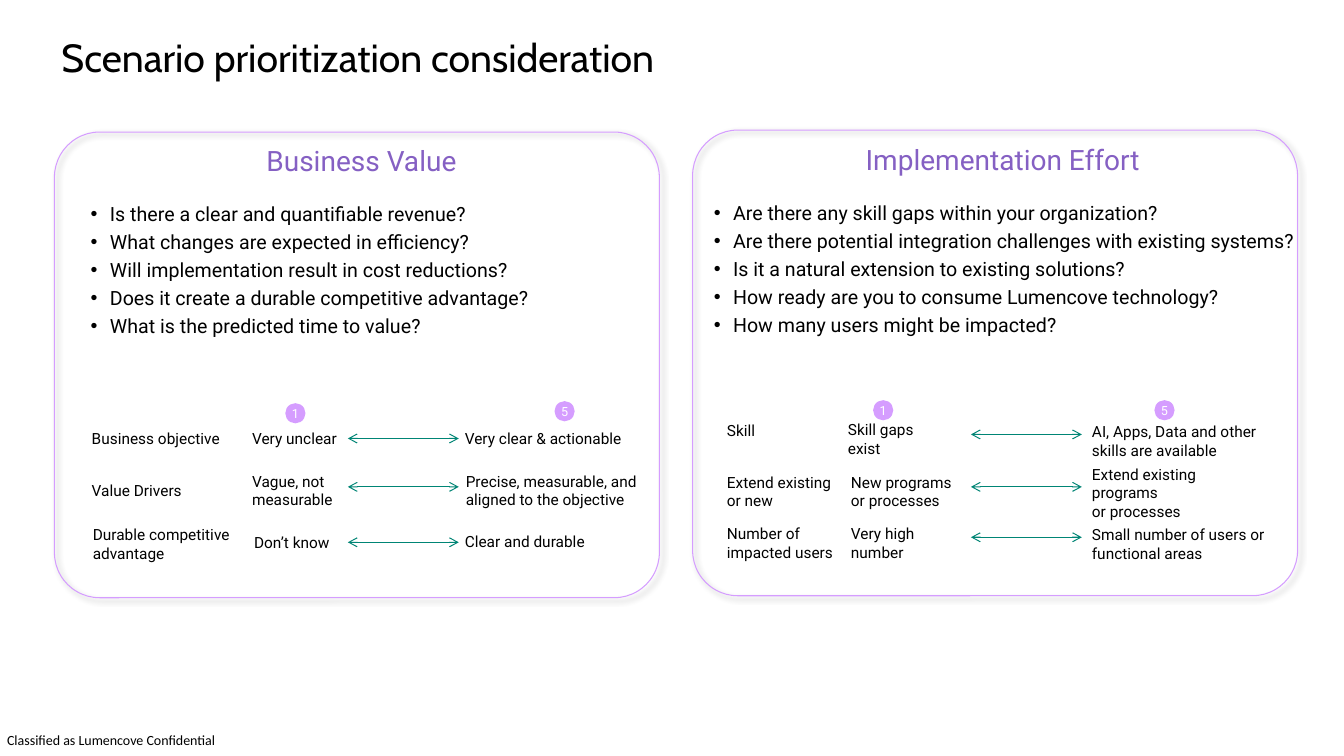
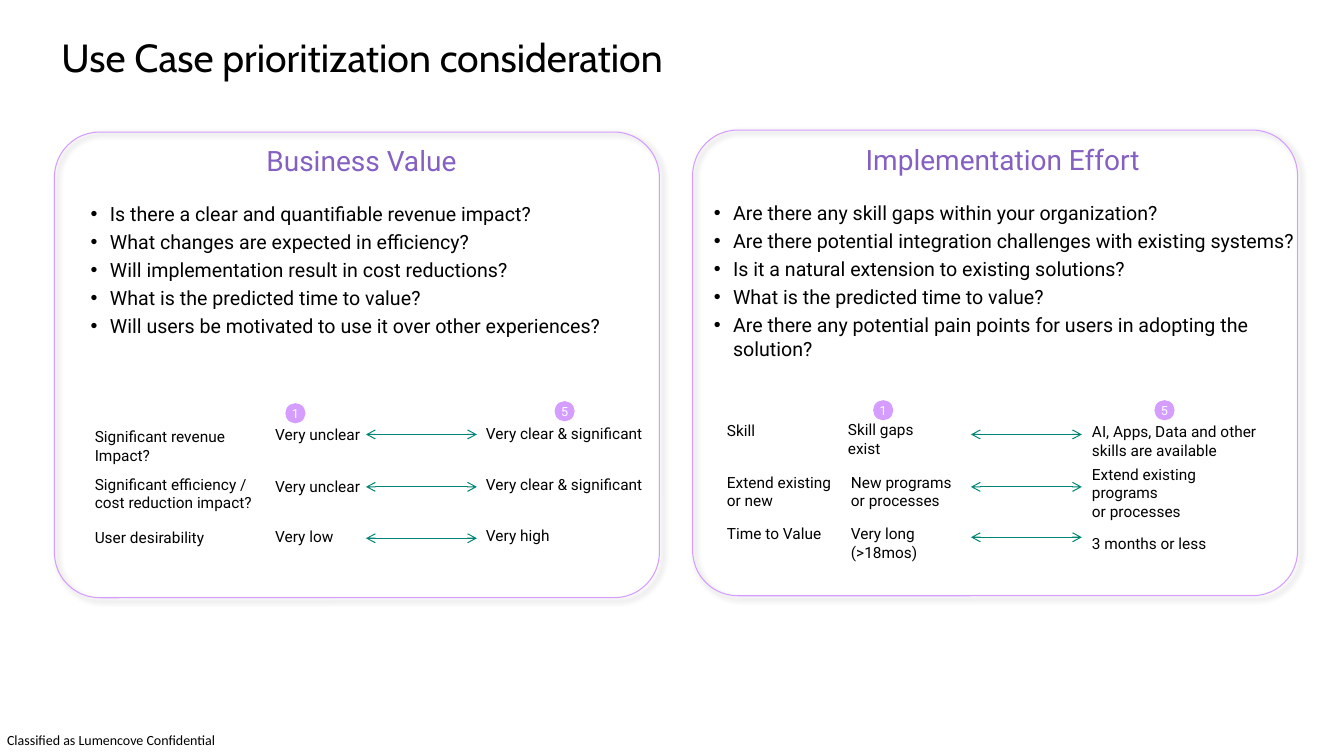
import pptx
import pptx.dml.color
import pptx.enum.shapes
import pptx.enum.text
import pptx.oxml.ns
import pptx.util
import lxml.etree

PX = 9144
BLACK, WHITE, LILAC, PURPLE, GREEN = "000000", "FFFFFF", "D59DFF", "8560C3", "008575"
color_of = pptx.dml.color.RGBColor.from_string
qn = pptx.oxml.ns.qn
ALIGN = pptx.enum.text.PP_ALIGN
ANCHOR = pptx.enum.text.MSO_ANCHOR
SHAPE = pptx.enum.shapes.MSO_SHAPE


def box(left, top, width, height):
    return [pptx.util.Emu(length * PX) for length in (left, top, width, height)]


def write(shape, text, size=11, color=BLACK, font="Roboto", align=ALIGN.LEFT,
          anchor=ANCHOR.TOP, bullet=False, before=0, after=0):
    frame = shape.text_frame
    frame.word_wrap = True
    frame.auto_size = pptx.enum.text.MSO_AUTO_SIZE.NONE
    frame.vertical_anchor = anchor
    frame.margin_left = frame.margin_top = frame.margin_right = frame.margin_bottom = 0
    for line in text.split("\n"):
        paragraph = frame.add_paragraph() if frame.text else frame.paragraphs[0]
        properties = paragraph._p.get_or_add_pPr()
        properties.set("marL", str(25 * PX if bullet else 0))
        properties.set("indent", str(-19 * PX if bullet else 0))
        if bullet:
            lxml.etree.SubElement(properties, qn("a:buFont"), typeface="Arial")
            lxml.etree.SubElement(properties, qn("a:buChar"), char="•")
        else:
            lxml.etree.SubElement(properties, qn("a:buNone"))
        paragraph.alignment = align
        paragraph.space_before = pptx.util.Pt(before)
        paragraph.space_after = pptx.util.Pt(after)
        run = paragraph.add_run()
        run.text = line
        run.font.size = pptx.util.Pt(size)
        run.font.name = font
        run.font.color.rgb = color_of(color)


value_panel = {
    "heading": "Business Value",
    "frame": (54, 131, 600, 462),
    "body": (84, 142, 549, 197),
    "badges": [("1", 283, 400), ("5", 550, 398)],
}
effort_panel = {
    "heading": "Implementation Effort",
    "frame": (687, 129, 600, 462),
    "body": (702, 141, 585, 197),
    "badges": [("1", 866, 397), ("5", 1145, 397)],
    "arrow_left": 963,
    "arrow_tops": (431, 483, 533),
}
effort_questions = [
    "Are there any skill gaps within your organization?",
    "Are there potential integration challenges with existing systems?",
    "Is it a natural extension to existing solutions?",
]
effort_cells = [
    (721, 418, 137, 19, "Skill"),
    (841, 417, 94, 37, "Skill gaps exist"),
    (1083, 419, 172, 37, "AI, Apps, Data and other skills are available"),
    (721, 469, 137, 37, "Extend existing\nor new"),
    (844, 469, 163, 37, "New programs\nor processes"),
    (1083, 461, 168, 56, "Extend existing programs\nor processes"),
]

slides = [
    ("Scenario prioritization consideration", [
        value_panel | {
            "arrow_left": 345,
            "arrow_tops": (435, 483, 538),
            "questions": [
                "Is there a clear and quantifiable revenue?",
                "What changes are expected in efficiency?",
                "Will implementation result in cost reductions?",
                "Does it create a durable competitive advantage?",
                "What is the predicted time to value?",
            ],
            "cells": [
                (91, 426, 143, 19, "Business objective"),
                (250, 426, 94, 19, "Very unclear"),
                (461, 426, 172, 19, "Very clear & actionable"),
                (91, 477, 143, 19, "Value Drivers"),
                (250, 468, 97, 37, "Vague, not\nmeasurable"),
                (462, 468, 180, 37, "Precise, measurable, and\naligned to the objective"),
                (92, 521, 149, 37, "Durable competitive advantage"),
                (252, 529, 94, 19, "Don’t know"),
                (461, 528, 146, 19, "Clear and durable"),
            ],
        },
        effort_panel | {
            "questions": effort_questions + [
                "How ready are you to consume Lumencove technology?",
                "How many users might be impacted?",
            ],
            "cells": effort_cells + [
                (721, 520, 137, 37, "Number of impacted users"),
                (844, 520, 94, 37, "Very high number"),
                (1083, 521, 174, 37, "Small number of users or functional areas"),
            ],
        },
    ]),
    ("Use Case prioritization consideration", [
        value_panel | {
            "arrow_left": 363,
            "arrow_tops": (431, 483, 534),
            "questions": [
                "Is there a clear and quantifiable revenue impact?",
                "What changes are expected in efficiency?",
                "Will implementation result in cost reductions?",
                "What is the predicted time to value?",
                "Will users be motivated to use it over other experiences?",
            ],
            "cells": [
                (94, 424, 141, 37, "Significant revenue Impact?"),
                (273, 422, 118, 19, "Very unclear"),
                (482, 421, 159, 19, "Very clear & significant"),
                (94, 471, 159, 37, "Significant efficiency / cost reduction impact?"),
                (273, 473, 132, 19, "Very unclear"),
                (482, 471, 159, 19, "Very clear & significant"),
                (94, 524, 226, 19, "User desirability"),
                (273, 523, 94, 19, "Very low"),
                (482, 522, 159, 19, "Very high"),
            ],
        },
        effort_panel | {
            "body": (702, 141, 585, 221),
            "questions": effort_questions + [
                "What is the predicted time to value?",
                "Are there any potential pain points for users in adopting the solution?",
            ],
            "cells": effort_cells + [
                (721, 520, 137, 19, "Time to Value"),
                (844, 520, 94, 37, "Very long (>18mos)"),
                (1083, 530, 172, 19, "3 months or less"),
            ],
        },
    ]),
]

presentation = pptx.Presentation()
presentation.slide_width, presentation.slide_height = box(0, 0, 1333, 750)[2:]
layout = presentation.slide_layouts.get_by_name("Two Content")

for title, panels in slides:
    slide = presentation.slides.add_slide(layout)
    heading, *bodies = slide.placeholders
    heading.left, heading.top, heading.width, heading.height = box(61, 33, 1192, 45)
    write(heading, title, size=28, font="Cabin")

    for panel, body in zip(panels, bodies):
        body.left, body.top, body.width, body.height = box(*panel["body"])
        write(body, panel["heading"], size=20, color=PURPLE, align=ALIGN.CENTER, after=15)
        for question in panel["questions"]:
            write(body, question, size=14, bullet=True, before=3.2)

        frame = slide.shapes.add_shape(SHAPE.ROUNDED_RECTANGLE, *box(*panel["frame"]))
        frame.adjustments[0] = 0.097
        frame.fill.background()
        frame.line.color.rgb = color_of(LILAC)
        frame.line.width = pptx.util.Pt(0.75)
        frame.shadow.inherit = False
        effects = frame.element.spPr.find(qn("a:effectLst"))
        shadow = lxml.etree.SubElement(
            effects, qn("a:outerShdw"), blurRad=str(pptx.util.Pt(4)),
            dist=str(pptx.util.Pt(3)), dir="2700000", algn="tl", rotWithShape="0")
        shade = lxml.etree.SubElement(shadow, qn("a:srgbClr"), val=BLACK)
        lxml.etree.SubElement(shade, qn("a:alpha"), val="40000")

        for score, left, top in panel["badges"]:
            badge = slide.shapes.add_shape(SHAPE.OVAL, *box(left, top, 20, 20))
            badge.shadow.inherit = False
            badge.fill.solid()
            badge.fill.fore_color.rgb = color_of(LILAC)
            badge.line.fill.background()
            write(badge, score, size=9, color=WHITE, align=ALIGN.CENTER, anchor=ANCHOR.MIDDLE)

        for left, top, width, height, text in panel["cells"]:
            write(slide.shapes.add_textbox(*box(left, top, width, height)), text)

        for top in panel["arrow_tops"]:
            left = panel["arrow_left"]
            arrow = slide.shapes.add_connector(
                pptx.enum.shapes.MSO_CONNECTOR.STRAIGHT, *box(left, top, left + 110, top))
            arrow.line.color.rgb = color_of(GREEN)
            arrow.line.width = pptx.util.Pt(0.75)
            for end in ("a:headEnd", "a:tailEnd"):
                lxml.etree.SubElement(arrow.line._get_or_add_ln(), qn(end), type="arrow")
            lxml.etree.SubElement(arrow.element.spPr, qn("a:effectLst"))

footer = slide.shapes.add_textbox(*box(7, 726, 220, 17))
write(footer, "Classified as Lumencove Confidential", size=10, font="Calibri")
layout.shapes.element.append(footer.element)

presentation.save("out.pptx")
